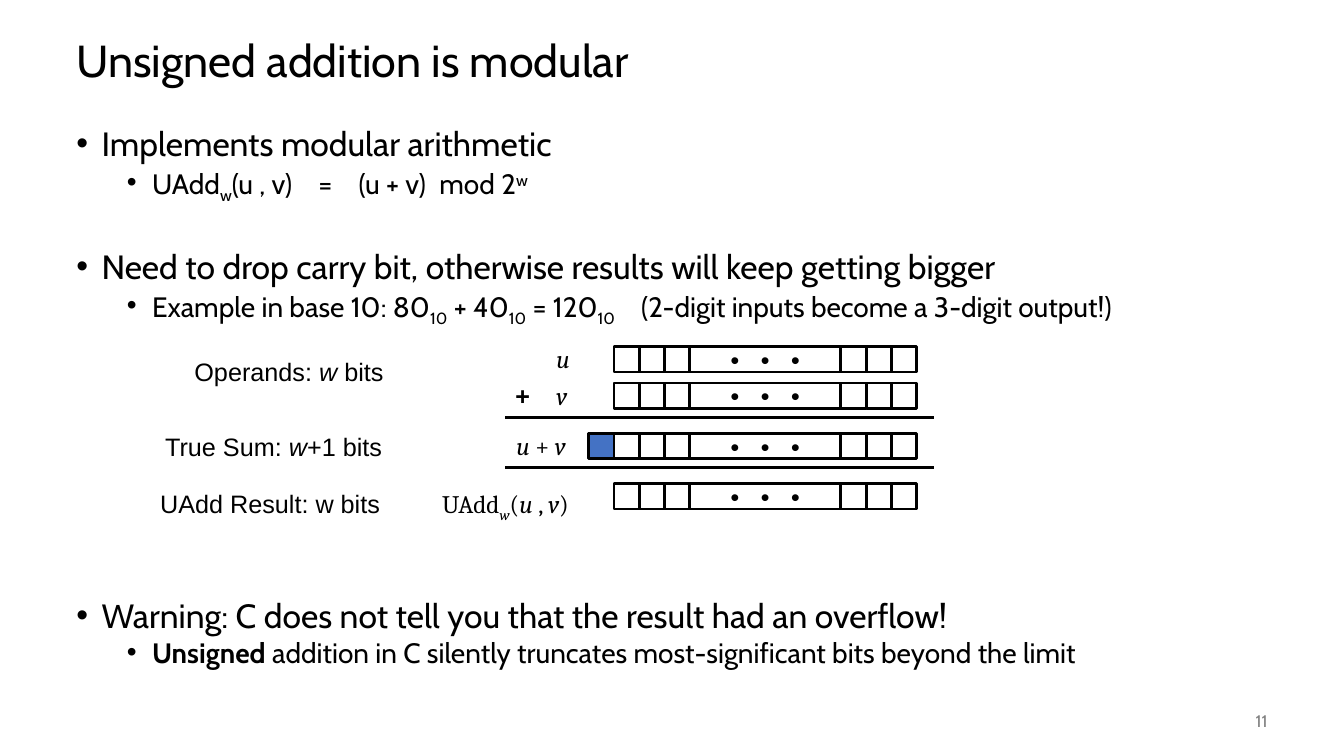
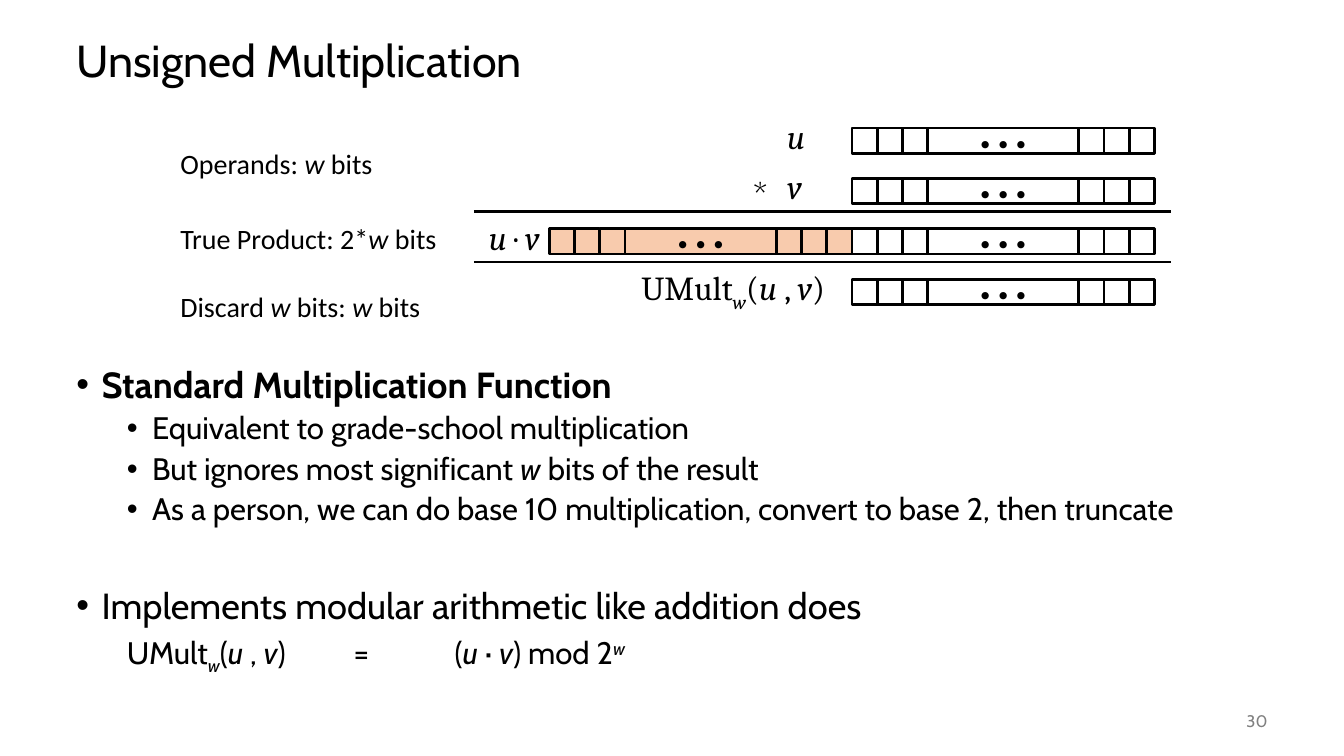
import pptx
import pptx.util
import pptx.dml.color
import pptx.enum.shapes
import pptx.enum.text
import pptx.oxml.ns
from lxml import etree

Inches = pptx.util.Inches
Pt = pptx.util.Pt
PP = pptx.enum.text.PP_ALIGN
Anchor = pptx.enum.text.MSO_ANCHOR
Fit = pptx.enum.text.MSO_AUTO_SIZE
qn = pptx.oxml.ns.qn

MAIN, MATH = "Cabin", "Cambria"
BLACK, WHITE, GREY = "000000", "FFFFFF", "808080"
BLUE, PEACH = "4472C4", "F8CBAD"
CELL, GAP = 0.25, 1.5
WORD = 6 * CELL + GAP
SHIFT = {"sub": "-25000", "sup": "30000"}


def color(code):
    return pptx.dml.color.RGBColor.from_string(code)


def call(name):
    """Runs of a label such as UAdd_w(u , v)."""
    return [name, ("w", "i sub"), "(", ("u", "i"), " , ", ("v", "i"), ")"]


def both(sign):
    return [("u ", "i"), sign + " ", ("v", "i")]


class Deck:
    def __init__(self):
        self.prs = pptx.Presentation()
        self.prs.slide_width = Inches(13.33)
        self.prs.slide_height = Inches(7.5)
        self.slide = None

    def page(self, title, number):
        """Start a slide with its title and page number."""
        self.slide = self.prs.slides.add_slide(self.prs.slide_layouts[6])
        frame = self.box(0.66, 0.25, 12, 0.75, Anchor.MIDDLE)
        para = frame.paragraphs[0]
        para.line_spacing = 0.9
        self.runs(para, [title], 32)
        frame = self.box(11.67, 6.95, 1, 0.4, Anchor.MIDDLE)
        frame.paragraphs[0].alignment = PP.RIGHT
        self.runs(frame.paragraphs[0], [number], 12, ink=GREY)

    def box(self, x, y, w, h, anchor=Anchor.TOP):
        shape = self.slide.shapes.add_textbox(
            Inches(x), Inches(y), Inches(w), Inches(h))
        frame = shape.text_frame
        frame.word_wrap = True
        frame.vertical_anchor = anchor
        return frame

    def runs(self, para, parts, size, font=MAIN, ink=BLACK):
        """Add runs; a part is a text or a (text, marks) pair."""
        for part in parts:
            text, marks = (part, "") if isinstance(part, str) else part
            run = para.add_run()
            run.text = text
            run.font.name = font
            run.font.size = Pt(size)
            run.font.color.rgb = color(ink)
            for mark in marks.split():
                if mark == "b":
                    run.font.bold = True
                elif mark == "i":
                    run.font.italic = True
                else:
                    run._r.get_or_add_rPr().set("baseline", SHIFT[mark])

    def body(self, y, h, items, sizes, line, tab):
        """Outline text; an item is (level, extra space, bullet, runs)."""
        frame = self.box(0.66, y, 12, h)
        for i, (level, extra, bullet, parts) in enumerate(items):
            para = frame.add_paragraph() if i else frame.paragraphs[0]
            para.level = level
            para.line_spacing = line
            para.space_before = Pt((14, 5)[level] + extra if i else 0)
            props = para._p.get_or_add_pPr()
            props.set("marL", str(Inches((0.25, 0.75)[level])))
            props.set("indent", str(Inches(-0.25)))
            props.set("defTabSz", str(Inches(tab)))
            if bullet:
                etree.SubElement(props, qn("a:buFont")).set("typeface", "Arial")
                etree.SubElement(props, qn("a:buChar")).set("char", "•")
            else:
                etree.SubElement(props, qn("a:buNone"))
            self.runs(para, parts, sizes[level])

    def label(self, x, y, w, h, parts, size, font=MATH, right=False):
        frame = self.box(x, y, w, h)
        frame.word_wrap = False
        frame.auto_size = Fit.SHAPE_TO_FIT_TEXT
        if right:
            frame.paragraphs[0].alignment = PP.RIGHT
        self.runs(frame.paragraphs[0], parts, size, font)

    def cell(self, x, y, w=CELL, fill=WHITE):
        shape = self.slide.shapes.add_shape(
            pptx.enum.shapes.MSO_SHAPE.RECTANGLE,
            Inches(x), Inches(y), Inches(w), Inches(CELL))
        shape.shadow.inherit = False
        shape.fill.solid()
        shape.fill.fore_color.rgb = color(fill)
        shape.line.color.rgb = color(BLACK)
        shape.line.width = Pt(2)
        return shape

    def word(self, x, y, size, font, fill=WHITE):
        """A row of bits: three cells, a wide cell with dots, three cells."""
        for i in range(3):
            self.cell(x + i * CELL, y, fill=fill)
            self.cell(x + 3 * CELL + GAP + i * CELL, y, fill=fill)
        frame = self.cell(x + 3 * CELL, y, GAP, fill).text_frame
        frame.word_wrap = False
        frame.vertical_anchor = Anchor.MIDDLE
        frame.paragraphs[0].alignment = PP.CENTER
        self.runs(frame.paragraphs[0], ["• • •"], size, font)

    def rule(self, x, y, end):
        line = self.slide.shapes.add_connector(
            pptx.enum.shapes.MSO_CONNECTOR.STRAIGHT,
            Inches(x), Inches(y), Inches(end), Inches(y))
        line.line.color.rgb = color(BLACK)
        line.line.width = Pt(2)
        etree.SubElement(line._element.spPr, qn("a:effectLst"))


def add_slide(deck):
    deck.page("Unsigned addition is modular", "11")

    # Outline above and below the diagram
    ten = ("10", "sub")
    style = ((24, 20), 0.8, 0.4)
    deck.body(1.25, 2.1, [
        (0, 0, True, ["Implements modular arithmetic"]),
        (1, 0, True, ["UAdd", ("w", "sub"), "(u , v)\t=\t(u + v)\tmod 2",
                      ("w", "sup")]),
        (0, 24, True, ["Need to drop carry bit, otherwise results will "
                       "keep getting bigger"]),
        (1, 0, True, ["Example in base 10: 80", ten, " + 40", ten, " = 120",
                      ten, "\t(2-digit inputs become a 3-digit output!)"]),
    ], *style)
    deck.body(5.93, 0.82, [
        (0, 0, True, ["Warning: C does not tell you that the result had "
                      "an overflow!"]),
        (1, 0, True, [("Unsigned", "b"), " addition in C silently truncates "
                      "most-significant bits beyond the limit"]),
    ], *style)

    # Bit rows, carry bit and rules
    left = 6.09
    for y in (3.44, 3.8, 4.3, 4.8):
        deck.word(left, y, 18, "Courier New")
    deck.cell(left - CELL, 4.3, fill=BLUE)
    for y in (4.14, 4.64):
        deck.rule(5.01, y, 9.26)

    # Symbols beside the rows
    deck.label(5.42, 3.36, 0.33, 0.4, [("u", "i")], 18)
    deck.label(5.42, 3.72, 0.31, 0.4, [("v", "i")], 18)
    deck.label(5.01, 3.72, 0.35, 0.4, [("+", "b")], 18, "Courier New")
    deck.label(5.01, 4.22, 0.7, 0.4, both("+"), 18, right=True)
    deck.label(4.23, 4.8, 1.51, 0.4, call("UAdd"), 18, right=True)

    # Row captions
    for x, y, w, parts in (
            (1.83, 3.49, 2.08, ["Operands: ", ("w", "i"), " bits"]),
            (1.54, 4.23, 2.36, ["True Sum: ", ("w", "i"), "+1 bits"]),
            (1.49, 4.8, 2.46, ["UAdd Result: w bits"])):
        deck.label(x, y, w, 0.4, parts, 18, "Arial")


def times_slide(deck):
    deck.page("Unsigned Multiplication", "30")

    # Outline
    deck.body(3.59, 3.16, [
        (0, 0, True, [("Standard Multiplication Function", "b")]),
        (1, 0, True, ["Equivalent to grade-school multiplication"]),
        (1, 0, True, ["But ignores most significant ", ("w", "i"),
                      " bits of the result"]),
        (1, 0, True, ["As a person, we can do base 10 multiplication, "
                      "convert to base 2, then truncate"]),
        (0, 29, True, ["Implements modular arithmetic like addition does"]),
        (1, 0, False, call("UMult") + ["\t=\t("] + both("·")
         + [") mod 2", ("w", "i sup")]),
    ], (25.9, 22.2), 0.9, 1)

    # Bit rows, discarded high word and rules
    left = 8.45
    for i in range(4):
        deck.word(left, 1.27 + i * 0.5, 24, MAIN)
    deck.word(left - WORD, 2.27, 24, MAIN, PEACH)
    for y in (2.1, 2.6):
        deck.rule(4.7, y, 11.61)

    # Symbols beside the rows
    deck.label(7.71, 1.1, 0.37, 0.5, [("u", "i")], 24)
    deck.label(7.71, 1.6, 0.35, 0.5, [("v", "i")], 24)
    deck.label(7.37, 1.68, 0.39, 0.5, ["*"], 24, MAIN)
    deck.label(4.65, 2.1, 0.8, 0.5, both("·"), 24, right=True)
    deck.label(6.24, 2.6, 2.04, 0.5, call("UMult"), 24, right=True)

    # Row captions
    for y, w, parts in (
            (1.4, 2.13, ["Operands: ", ("w", "i"), " bits"]),
            (2.15, 2.83, ["True Product: 2*", ("w", "i"), " bits"]),
            (2.82, 2.67, ["Discard ", ("w", "i"), " bits: ", ("w", "i"),
                          " bits"])):
        deck.label(1.69, y, w, 0.44, parts, 20, "Calibri")


def main():
    deck = Deck()
    add_slide(deck)
    times_slide(deck)
    deck.prs.save("out.pptx")


if __name__ == "__main__":
    main()
